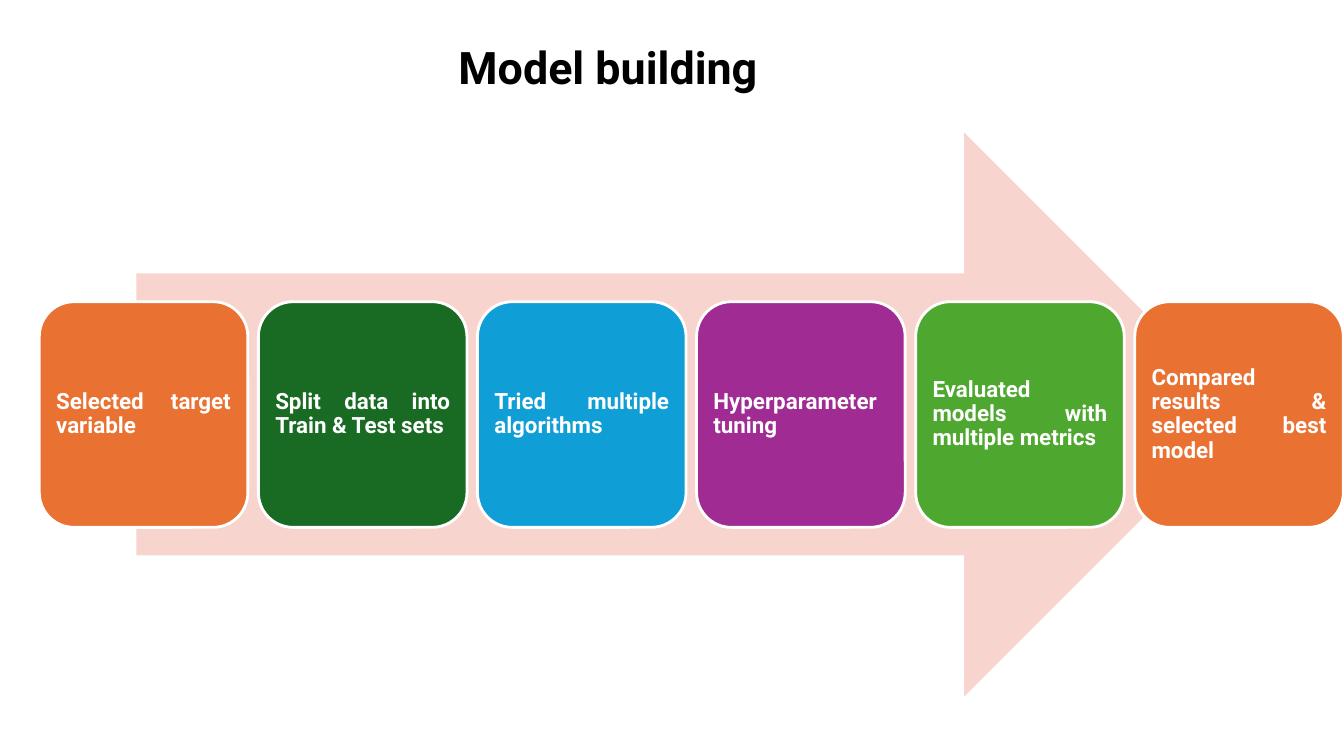
from pptx import Presentation
from pptx.dml.color import RGBColor as RGB
from pptx.enum.shapes import MSO_SHAPE as Shape
from pptx.enum.text import MSO_ANCHOR as Anchor, MSO_AUTO_SIZE as Fit, PP_ALIGN as Align
from pptx.util import Pt

COLORS = {
    "black": "000000", "white": "FFFFFF", "pink": "F7D5CE",
    "orange": "E97132", "dark": "196B24", "blue": "0F9ED5",
    "purple": "A02B93", "green": "4EA72E",
}
STEPS = [
    ("Selected target variable", "orange"),
    ("Split data into Train & Test sets", "dark"),
    ("Tried multiple algorithms", "blue"),
    ("Hyperparameter tuning", "purple"),
    ("Evaluated models with multiple metrics", "green"),
    ("Compared results & selected best model", "orange"),
]
LEFT, TOP, WIDTH, HEIGHT, PITCH = 28.1, 215.5, 149, 161.2, 156.5
INSET = 4.8


def add_form(kind, left, top, width, height, color):
    form = slide.shapes.add_shape(kind, Pt(left), Pt(top), Pt(width), Pt(height))
    form.shadow.inherit = False
    form.fill.solid()
    form.fill.fore_color.rgb = RGB.from_string(COLORS[color])
    form.line.fill.background()
    return form


def add_run(para, text, size, color):
    run = para.add_run()
    run.text = text
    run.font.name = "Roboto"
    run.font.size = Pt(size)
    run.font.bold = True
    run.font.color.rgb = RGB.from_string(COLORS[color])


deck = Presentation()
deck.slide_width, deck.slide_height = Pt(960), Pt(540)
slide = deck.slides.add_slide(deck.slide_layouts[6])

# Title
title = slide.shapes.add_textbox(Pt(320.4), Pt(24.5), Pt(354.2), Pt(46)).text_frame
title.word_wrap = True
title.auto_size = Fit.SHAPE_TO_FIT_TEXT
add_run(title.paragraphs[0], "Model building", 32, "black")

# Arrow behind the steps
add_form(Shape.RIGHT_ARROW, 97.4, 94.5, 792.7, 403, "pink")

# Steps
for i, (text, color) in enumerate(STEPS):
    card = add_form(Shape.ROUNDED_RECTANGLE, LEFT + i * PITCH, TOP, WIDTH, HEIGHT, color)
    card.line.color.rgb = RGB.from_string(COLORS["white"])
    card.line.width = Pt(2)
    frame = card.text_frame
    frame.word_wrap = True
    frame.vertical_anchor = Anchor.MIDDLE
    frame.margin_left = frame.margin_right = Pt(INSET)
    frame.margin_top = frame.margin_bottom = Pt(INSET)
    para = frame.paragraphs[0]
    para.alignment = Align.JUSTIFY
    para.line_spacing = 0.9
    para.space_after = Pt(5.6)
    add_run(para, text, 16, "white")

deck.save("out.pptx")
